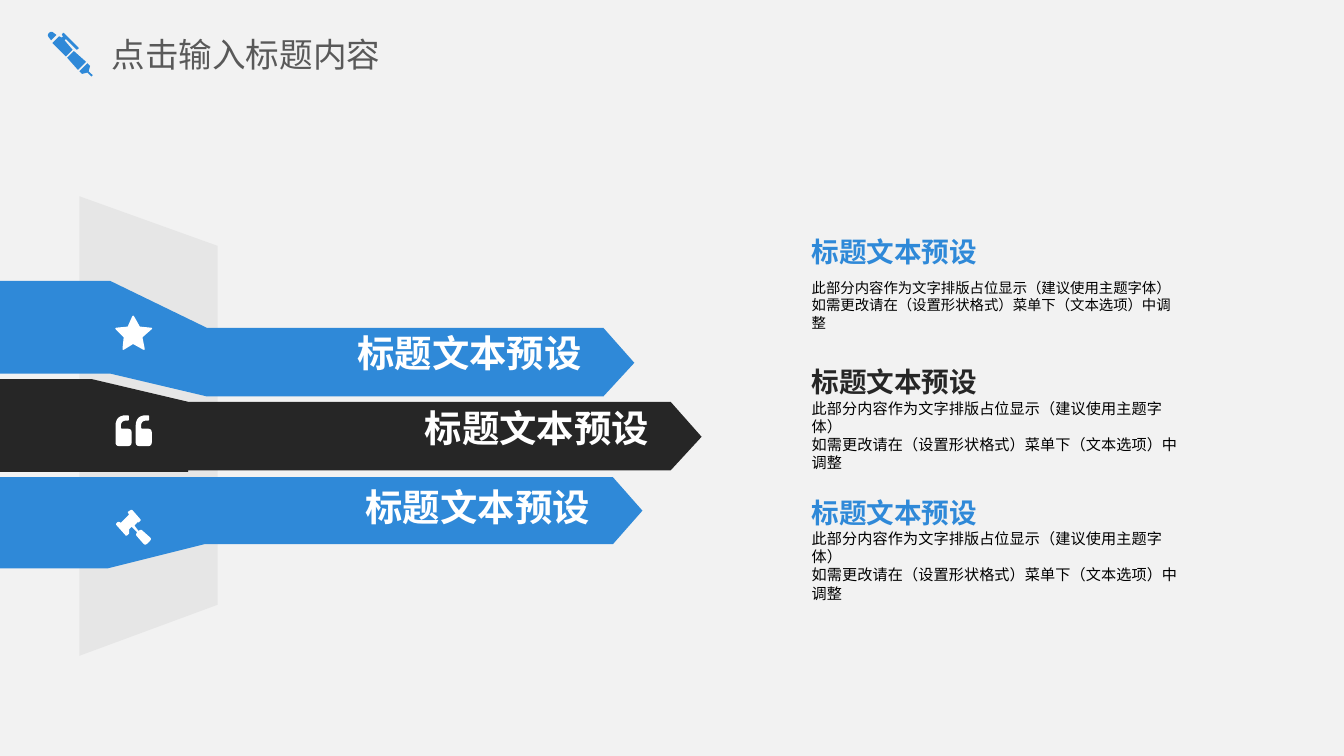
import math

import pptx
import pptx.dml.color
import pptx.enum.text
import pptx.util
from lxml import etree
from pptx.oxml.ns import qn

Inches = pptx.util.Inches
ANCHOR = pptx.enum.text.MSO_ANCHOR
ALIGN = pptx.enum.text.PP_ALIGN

SLIDE_WIDTH = 10
SLIDE_HEIGHT = SLIDE_WIDTH * 9 / 16

COLORS = {"page": "F2F2F2", "blue": "2F89D8", "dark": "262626", "panel": "E6E6E6",
          "white": "FFFFFF", "black": "000000", "title": "595959"}

# Content
TITLE = "点击输入标题内容"
HEADING = "标题文本预设"
BLURB = ("此部分内容作为文字排版占位显示（建议使用主题字体）\v"
         "如需更改请在（设置形状格式）菜单下（文本选项）中调整")
ENTRIES = [("blue", 7.7), ("dark", 8.1), ("blue", 8.1)]  # heading colour, blurb size

# Outlines in inches: corners are (x, y) or (x, y, rounding)
PANEL = [(0.59, 1.46), (1.62, 1.83), (1.62, 4.5), (0.59, 4.88)]
BANNERS = [  # colour, text anchor, bottom inset, outline
    ("blue", ANCHOR.TOP, 0.05,
     [(-0.14, 3.55), (-0.14, 4.23), (0.8, 4.23), (1.52, 4.05),
      (4.56, 4.05), (4.78, 3.8), (4.56, 3.55)]),
    ("dark", ANCHOR.BOTTOM, 0.16,
     [(-0.26, 2.82), (-0.26, 3.51), (1.4, 3.51), (1.4, 3.5), (4.99, 3.5),
      (5.22, 3.25), (4.99, 2.99), (1.4, 2.99), (0.68, 2.82)]),
    ("blue", ANCHOR.BOTTOM, 0.16,
     [(-0.12, 2.09), (-0.12, 2.78), (0.82, 2.78), (1.54, 2.95),
      (4.49, 2.95), (4.72, 2.7), (4.49, 2.44), (1.54, 2.44), (0.82, 2.09)]),
]
PEN = [
    [(0.65, 0.47), (0.59, 0.53), (0.61, 0.55), (0.65, 0.54), (0.68, 0.57),
     (0.69, 0.56), (0.66, 0.53), (0.67, 0.49)],
    [(0.55, 0.38), (0.5, 0.43), (0.58, 0.52), (0.64, 0.46)],
    [(0.47, 0.24, 0.01), (0.46, 0.26), (0.47, 0.27), (0.46, 0.28), (0.44, 0.27),
     (0.39, 0.32), (0.49, 0.42), (0.54, 0.37), (0.48, 0.3), (0.49, 0.29),
     (0.57, 0.37), (0.59, 0.36, 0.01)],
    [(0.38, 0.23, 0.02), (0.35, 0.26, 0.02), (0.38, 0.3), (0.42, 0.26)],
]
STAR = [(1.14, 2.44, 0.02), (1.06, 2.51), (1.08, 2.61, 0.02), (0.99, 2.56),
        (0.91, 2.61, 0.02), (0.92, 2.51), (0.85, 2.44, 0.02), (0.95, 2.43),
        (0.99, 2.34, 0.02), (1.04, 2.43)]
QUOTE_MARK = [(0.98, 3.32, 0.03), (0.86, 3.32, 0.03), (0.86, 3.09, 0.08),
              (0.96, 3.09, 0.01), (0.96, 3.13, 0.01), (0.9, 3.13, 0.04),
              (0.9, 3.19, 0.01), (0.98, 3.19, 0.03)]
QUOTE_GAP = 0.15
QUOTES = [[(x + shift, y, r) for x, y, r in QUOTE_MARK] for shift in (0, QUOTE_GAP)]
GAVEL = [(1.13, 4.01, 0.02), (1.08, 4.06, 0.02), (1.01, 3.98, 0.01), (1.02, 3.96),
         (0.98, 3.92), (0.96, 3.94), (0.96, 3.97), (0.94, 3.99, 0.01),
         (0.86, 3.9, 0.01), (0.88, 3.88, 0.01), (0.9, 3.89), (0.96, 3.83),
         (0.95, 3.81), (0.98, 3.79, 0.01), (1.05, 3.87, 0.01), (1.03, 3.89, 0.01),
         (1.01, 3.88), (1.02, 3.89), (1, 3.91), (1.03, 3.95), (1.05, 3.94, 0.01)]

# Text column
COLUMN_LEFT, COLUMN_WIDTH = 5.65, 3.47
ROW_TOP, ROW_PITCH = 1.75, 0.97
HEADING_HEIGHT, BLURB_HEIGHT = 0.24, 0.56
COLUMN_INSETS = (0.39, 0, 0.31, 0)


def rgb(name):
    return pptx.dml.color.RGBColor.from_string(COLORS[name])


def toward(corner, other, distance):
    share = distance / math.dist(corner, other)
    return tuple(a + (b - a) * share for a, b in zip(corner, other))


def round_corners(outline, steps=6):
    """Replace each rounded corner by points along a quadratic curve."""
    points = []
    for index, (x, y, *rounding) in enumerate(outline):
        if not rounding:
            points.append((x, y))
            continue
        corner = (x, y)
        start = toward(corner, outline[index - 1][:2], rounding[0])
        end = toward(corner, outline[(index + 1) % len(outline)][:2], rounding[0])
        for step in range(steps + 1):
            t = step / steps
            points.append(tuple((1 - t) ** 2 * a + 2 * t * (1 - t) * b + t * t * c
                                for a, b, c in zip(start, corner, end)))
    return points


def draw(slide, outlines, color):
    builder = None
    for outline in outlines:
        points = [(Inches(x), Inches(y)) for x, y in round_corners(outline)]
        if builder is None:
            builder = slide.shapes.build_freeform(*points[0], scale=1.0)
        else:
            builder.move_to(*points[0])
        builder.add_line_segments(points[1:], close=True)
    shape = builder.convert_to_shape()
    shape.shadow.inherit = False
    shape.fill.solid()
    shape.fill.fore_color.rgb = rgb(color)
    shape.line.fill.background()
    return shape


def write(shape, text, size, color, insets, anchor=ANCHOR.MIDDLE, align=ALIGN.LEFT,
          bold=False, wrap=False, font_name="Calibri"):
    frame = shape.text_frame
    frame.text = text
    sides = ("margin_left", "margin_top", "margin_right", "margin_bottom")
    frame_format = dict(zip(sides, map(Inches, insets)), word_wrap=wrap,
                        vertical_anchor=anchor,
                        auto_size=pptx.enum.text.MSO_AUTO_SIZE.NONE)
    for name, value in frame_format.items():
        setattr(frame, name, value)
    paragraph = frame.paragraphs[0]
    paragraph.alignment = align
    font_format = {"size": pptx.util.Pt(size), "bold": bold, "name": font_name}
    for run in paragraph.runs:
        for name, value in font_format.items():
            setattr(run.font, name, value)
        run.font.color.rgb = rgb(color)
        # East Asian typeface
        etree.SubElement(run.font._element, qn("a:ea"), typeface=font_name)


def add_text(slide, top, height, *text_format, **options):
    box = slide.shapes.add_textbox(*map(Inches, (COLUMN_LEFT, top, COLUMN_WIDTH, height)))
    write(box, *text_format, **options)


def main():
    presentation = pptx.Presentation()
    presentation.slide_width = Inches(SLIDE_WIDTH)
    presentation.slide_height = Inches(SLIDE_HEIGHT)
    slide = presentation.slides.add_slide(presentation.slide_layouts[5])
    slide.background.fill.solid()
    slide.background.fill.fore_color.rgb = rgb("page")

    # Title with pen icon
    title = slide.shapes.title
    place = {"left": 0.83, "top": 0.19, "width": 2.33, "height": 0.42}
    for name, value in place.items():
        setattr(title, name, Inches(value))
    write(title, TITLE, 18, "title", (0, 0.05, 0, 0.05), wrap=True,
          font_name="Noto Sans CJK SC")
    draw(slide, PEN, "blue")

    # Folded banners over the panel
    draw(slide, [PANEL], "panel")
    for color, anchor, bottom_inset, outline in BANNERS:
        banner = draw(slide, [outline], color)
        write(banner, HEADING, 20, "white", (0.05, 0.05, 0.39, bottom_inset),
              anchor=anchor, align=ALIGN.RIGHT, bold=True)
    for icon in ([STAR], QUOTES, [GAVEL]):
        draw(slide, icon, "white")

    # Headings and blurbs
    for row, (color, blurb_size) in enumerate(ENTRIES):
        top = ROW_TOP + row * ROW_PITCH
        add_text(slide, top, HEADING_HEIGHT, HEADING, 14.8, color, COLUMN_INSETS, bold=True)
        add_text(slide, top + HEADING_HEIGHT, BLURB_HEIGHT, BLURB, blurb_size, "black",
                 COLUMN_INSETS, wrap=True)

    presentation.save("out.pptx")


if __name__ == "__main__":
    main()
